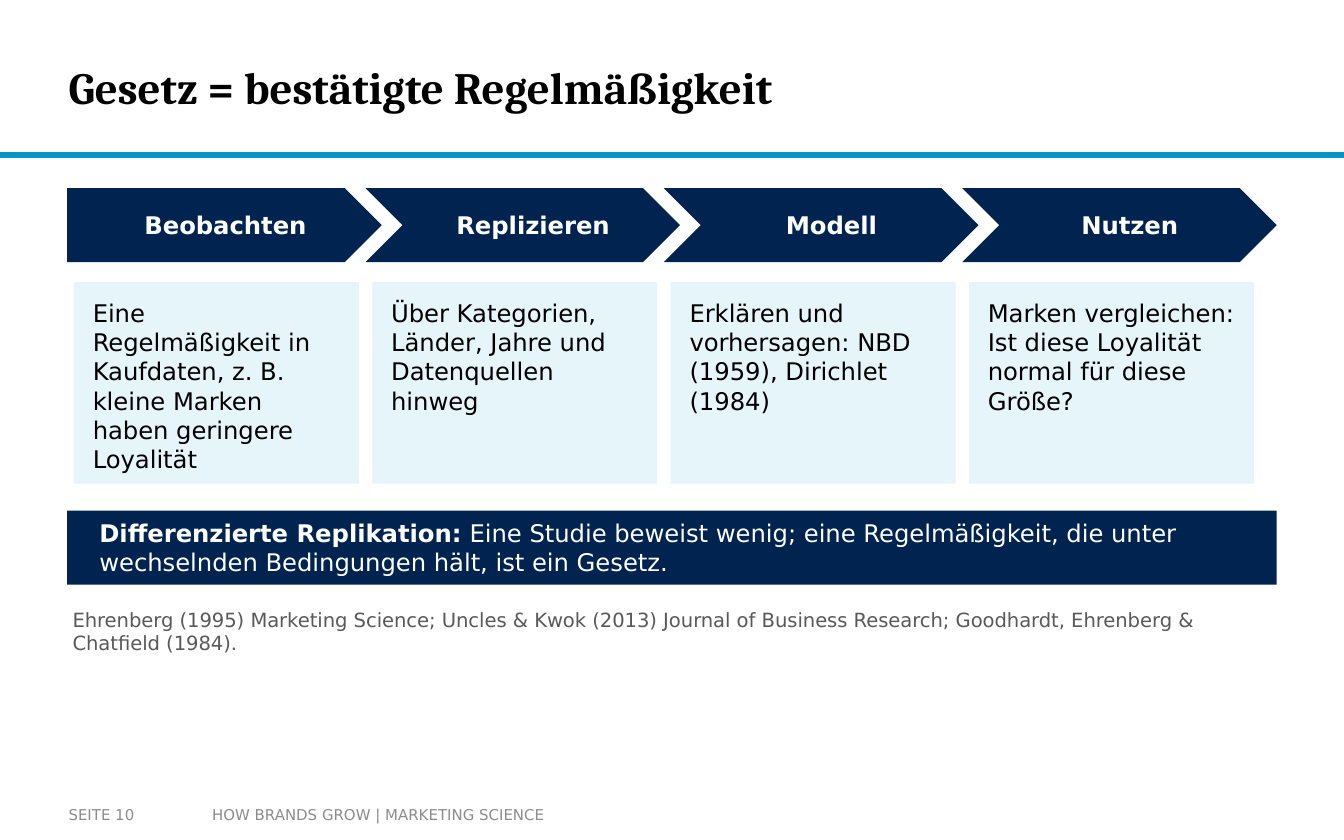
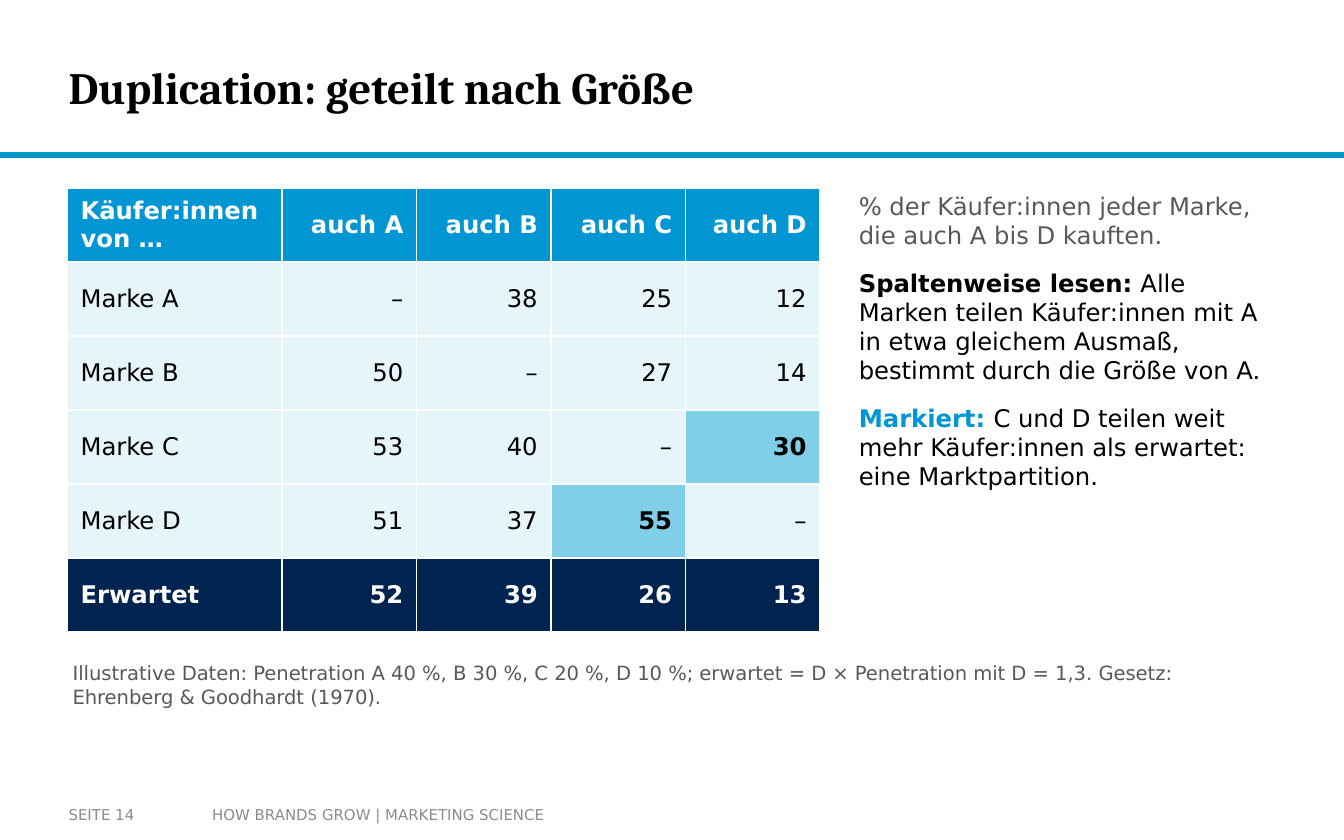
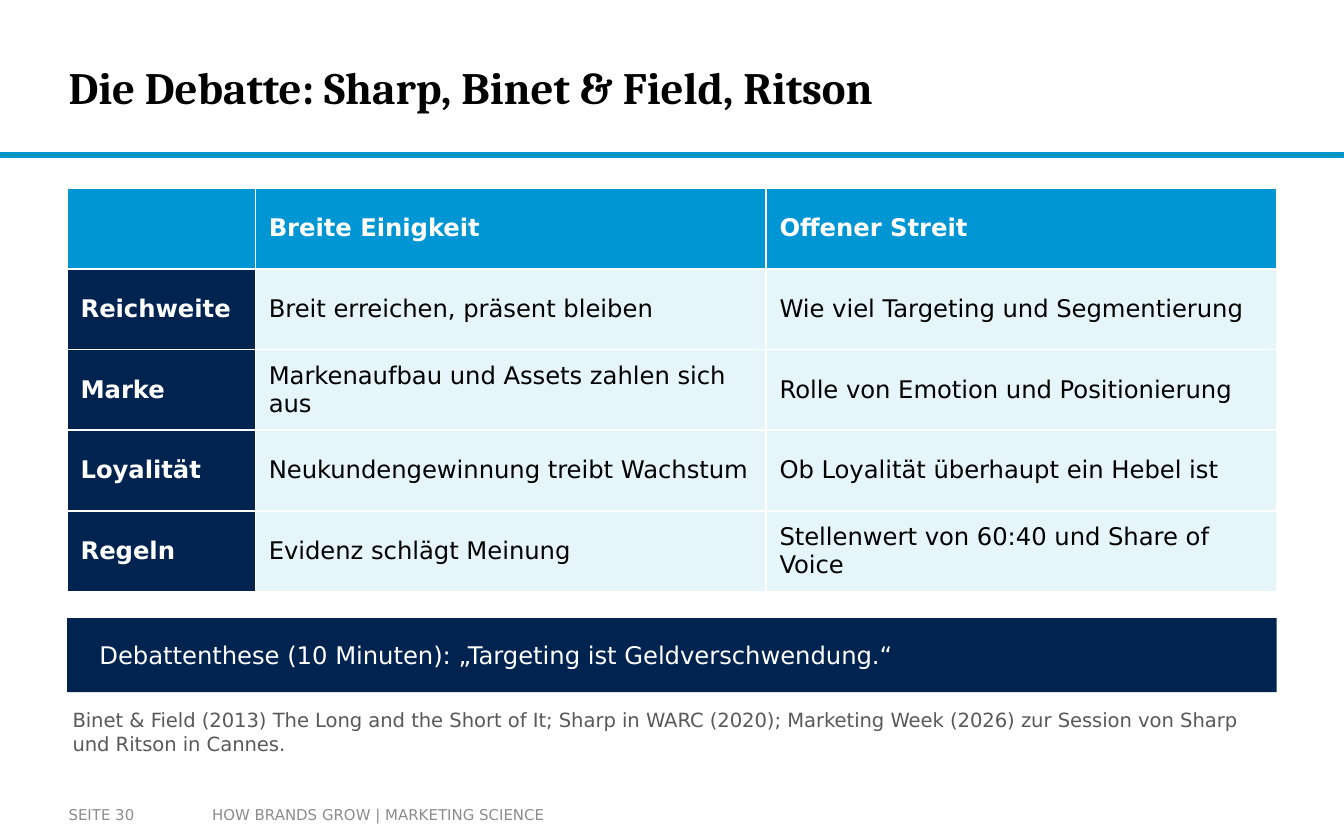
from dataclasses import dataclass
from typing import Callable

from pptx import Presentation
from pptx.dml.color import RGBColor
from pptx.enum.shapes import MSO_SHAPE
from pptx.enum.text import MSO_ANCHOR, MSO_AUTO_SIZE, PP_ALIGN
from pptx.slide import Slide
from pptx.util import Inches, Pt

COLORS = {
    "black": "000000",
    "white": "FFFFFF",
    "navy": "002350",
    "blue": "0096D3",
    "rule": "0C94B7",
    "pale": "E5F5FA",
    "marked": "80CFE9",
    "note": "595959",
    "footer": "8C8C8C",
}
BODY_FONT = "DejaVu Sans"
TITLE_FONT = "Cambria"
BODY_SIZE = 13
LEFT = 0.5
CONTENT_TOP = 1.4
CONTENT_WIDTH = 9
BAR_HEIGHT = 0.55
TIGHT = (0.04, 0.02, 0.04, 0.02)


@dataclass(frozen=True)
class Box:
    left: float
    top: float
    width: float
    height: float

    def lengths(self) -> tuple:
        return tuple(Inches(v) for v in (self.left, self.top, self.width, self.height))


@dataclass(frozen=True)
class Style:
    size: float = BODY_SIZE
    color: str = "black"
    bold: bool = False
    font: str = BODY_FONT


@dataclass(frozen=True)
class Span:
    text: str
    style: Style = Style()


@dataclass(frozen=True)
class Step:
    name: str
    detail: str


@dataclass(frozen=True)
class CellLook:
    fill: str
    style: Style
    align: PP_ALIGN = PP_ALIGN.LEFT


BODY = Style()
BOLD = Style(bold=True)
WHITE = Style(color="white")
WHITE_BOLD = Style(color="white", bold=True)
TITLE = Style(24, bold=True, font=TITLE_FONT)
FOOTER = Style(8, "footer")
SOURCE = Style(10.5, "note")

STEPS = [
    Step("Beobachten", "Eine Regelmäßigkeit in Kaufdaten, z. B. kleine Marken haben geringere Loyalität"),
    Step("Replizieren", "Über Kategorien, Länder, Jahre und Datenquellen hinweg"),
    Step("Modell", "Erklären und vorhersagen: NBD (1959), Dirichlet (1984)"),
    Step("Nutzen", "Marken vergleichen: Ist diese Loyalität normal für diese Größe?"),
]

DUPLICATION = [
    ["Käufer:innen von …", "auch A", "auch B", "auch C", "auch D"],
    ["Marke A", "–", "38", "25", "12"],
    ["Marke B", "50", "–", "27", "14"],
    ["Marke C", "53", "40", "–", "30"],
    ["Marke D", "51", "37", "55", "–"],
    ["Erwartet", "52", "39", "26", "13"],
]
PARTITION_CELLS = {(3, 4), (4, 3)}

DEBATE = [
    ["", "Breite Einigkeit", "Offener Streit"],
    ["Reichweite", "Breit erreichen, präsent bleiben", "Wie viel Targeting und Segmentierung"],
    ["Marke", "Markenaufbau und Assets zahlen sich aus", "Rolle von Emotion und Positionierung"],
    ["Loyalität", "Neukundengewinnung treibt Wachstum", "Ob Loyalität überhaupt ein Hebel ist"],
    ["Regeln", "Evidenz schlägt Meinung", "Stellenwert von 60:40 und Share of Voice"],
]


def rgb(name: str) -> RGBColor:
    return RGBColor.from_string(COLORS[name])


def style_run(run, style: Style) -> None:
    run.font.name = style.font
    run.font.size = Pt(style.size)
    run.font.bold = style.bold
    run.font.color.rgb = rgb(style.color)


def set_margins(frame, margins: tuple) -> None:
    frame.margin_left, frame.margin_top, frame.margin_right, frame.margin_bottom = map(Inches, margins)


def write_line(paragraph, span: Span, align: PP_ALIGN = PP_ALIGN.LEFT) -> None:
    paragraph.text = span.text
    paragraph.alignment = align
    for run in paragraph.runs:
        style_run(run, span.style)


def add_text(slide: Slide, box: Box, paragraphs: list[list[Span]], margins: tuple = TIGHT,
             anchor: MSO_ANCHOR = MSO_ANCHOR.TOP, space_after: float = 0, grow: bool = True) -> None:
    frame = slide.shapes.add_textbox(*box.lengths()).text_frame
    frame.word_wrap = True
    frame.auto_size = MSO_AUTO_SIZE.SHAPE_TO_FIT_TEXT if grow else MSO_AUTO_SIZE.NONE
    frame.vertical_anchor = anchor
    set_margins(frame, margins)
    for index, spans in enumerate(paragraphs):
        paragraph = frame.add_paragraph() if index else frame.paragraphs[0]
        paragraph.space_after = Pt(space_after)
        for span in spans:
            run = paragraph.add_run()
            run.text = span.text
            style_run(run, span.style)


def add_panel(slide: Slide, box: Box, fill: str, preset: MSO_SHAPE = MSO_SHAPE.RECTANGLE):
    panel = slide.shapes.add_shape(preset, *box.lengths())
    panel.shadow.inherit = False
    panel.fill.solid()
    panel.fill.fore_color.rgb = rgb(fill)
    panel.line.fill.background()
    return panel


def add_frame(deck, title: str, page: int) -> Slide:
    slide = deck.slides.add_slide(deck.slide_layouts[6])
    rule = add_panel(slide, Box(0, 1.14, 10, 0.03), "rule")
    rule.line.color.rgb = rgb("blue")
    rule.line.width = Pt(1)
    fixed_texts = [
        (Box(0.51, 0.15, 7.48, 0.99), Span(title, TITLE), (0, 0, 0, 0)),
        (Box(1.48, 5.92, 3.52, 0.28), Span("HOW BRANDS GROW | MARKETING SCIENCE", FOOTER), (0.1, 0.05, 0.1, 0.05)),
        (Box(0.51, 5.92, 0.98, 0.28), Span(f"SEITE {page}", FOOTER), (0, 0.05, 0, 0.05)),
    ]
    for box, span, margins in fixed_texts:
        add_text(slide, box, [[span]], margins, MSO_ANCHOR.MIDDLE, grow=False)
    return slide


def add_message_bar(slide: Slide, top: float, spans: list[Span]) -> None:
    add_panel(slide, Box(LEFT, top, CONTENT_WIDTH, BAR_HEIGHT), "navy")
    add_text(slide, Box(LEFT + 0.2, top, CONTENT_WIDTH - 0.4, BAR_HEIGHT), [spans], anchor=MSO_ANCHOR.MIDDLE)


def add_source(slide: Slide, top: float, text: str) -> None:
    add_text(slide, Box(LEFT, top, CONTENT_WIDTH, 0.35), [[Span(text, SOURCE)]])


def add_grid(slide: Slide, rows: list[list[str]], widths: list[float], row_height: float,
             look_of: Callable[[int, int], CellLook]) -> None:
    box = Box(LEFT, CONTENT_TOP, sum(widths), row_height * len(rows))
    table = slide.shapes.add_table(len(rows), len(widths), *box.lengths()).table
    table.horz_banding = False
    for column, width in zip(table.columns, widths):
        column.width = Inches(width)
    for r, row in enumerate(rows):
        table.rows[r].height = Inches(row_height)
        for c, text in enumerate(row):
            look = look_of(r, c)
            cell = table.cell(r, c)
            cell.fill.solid()
            cell.fill.fore_color.rgb = rgb(look.fill)
            cell.vertical_anchor = MSO_ANCHOR.MIDDLE
            write_line(cell.text_frame.paragraphs[0], Span(text, look.style), look.align)


def duplication_look(row: int, column: int) -> CellLook:
    align = PP_ALIGN.RIGHT if column else PP_ALIGN.LEFT
    if row == 0:
        return CellLook("blue", WHITE_BOLD, align)
    if row == len(DUPLICATION) - 1:
        return CellLook("navy", WHITE_BOLD, align)
    if (row, column) in PARTITION_CELLS:
        return CellLook("marked", BOLD, align)
    return CellLook("pale", BODY, align)


def debate_look(row: int, column: int) -> CellLook:
    if row == 0:
        return CellLook("blue", WHITE_BOLD)
    if column == 0:
        return CellLook("navy", WHITE_BOLD)
    return CellLook("pale", BODY)


def add_step(slide: Slide, index: int, step: Step) -> None:
    left = LEFT + 2.22 * index
    preset = MSO_SHAPE.CHEVRON if index else MSO_SHAPE.PENTAGON
    arrow = add_panel(slide, Box(left, CONTENT_TOP, 2.34, BAR_HEIGHT), "navy", preset)
    frame = arrow.text_frame
    frame.vertical_anchor = MSO_ANCHOR.MIDDLE
    set_margins(frame, (0.25, 0.05, 0.1, 0.05))
    write_line(frame.paragraphs[0], Span(step.name, WHITE_BOLD), PP_ALIGN.CENTER)
    add_panel(slide, Box(left + 0.05, 2.1, 2.12, 1.5), "pale")
    add_text(slide, Box(left + 0.15, 2.2, 1.92, 1.3), [[Span(step.detail)]], space_after=6)


def build_law_slide(deck) -> None:
    slide = add_frame(deck, "Gesetz = bestätigte Regelmäßigkeit", 10)
    for index, step in enumerate(STEPS):
        add_step(slide, index, step)
    add_message_bar(slide, 3.8, [
        Span("Differenzierte Replikation: ", WHITE_BOLD),
        Span("Eine Studie beweist wenig; eine Regelmäßigkeit, die unter wechselnden "
             "Bedingungen hält, ist ein Gesetz.", WHITE),
    ])
    add_source(slide, 4.5, "Ehrenberg (1995) Marketing Science; Uncles & Kwok (2013) Journal of "
                           "Business Research; Goodhardt, Ehrenberg & Chatfield (1984).")


def build_duplication_slide(deck) -> None:
    slide = add_frame(deck, "Duplication: geteilt nach Größe", 14)
    add_grid(slide, DUPLICATION, [1.6, 1, 1, 1, 1], 0.55, duplication_look)
    add_text(slide, Box(6.35, CONTENT_TOP, 3.15, 3.3), [
        [Span("% der Käufer:innen jeder Marke, die auch A bis D kauften.", Style(color="note"))],
        [Span("Spaltenweise lesen: ", BOLD),
         Span("Alle Marken teilen Käufer:innen mit A in etwa gleichem Ausmaß, "
              "bestimmt durch die Größe von A.")],
        [Span("Markiert: ", Style(color="blue", bold=True)),
         Span("C und D teilen weit mehr Käufer:innen als erwartet: eine Marktpartition.")],
    ], space_after=10)
    add_source(slide, 4.9, "Illustrative Daten: Penetration A 40 %, B 30 %, C 20 %, D 10 %; erwartet = "
                           "D × Penetration mit D = 1,3. Gesetz: Ehrenberg & Goodhardt (1970).")


def build_debate_slide(deck) -> None:
    slide = add_frame(deck, "Die Debatte: Sharp, Binet & Field, Ritson", 30)
    add_grid(slide, DEBATE, [1.4, 3.8, 3.8], 0.6, debate_look)
    add_message_bar(slide, 4.6, [Span("Debattenthese (10 Minuten): „Targeting ist Geldverschwendung.“", WHITE)])
    add_source(slide, 5.25, "Binet & Field (2013) The Long and the Short of It; Sharp in WARC (2020); "
                            "Marketing Week (2026) zur Session von Sharp und Ritson in Cannes.")


def main() -> None:
    deck = Presentation()
    deck.slide_width = Inches(10)
    deck.slide_height = Inches(6.25)
    build_law_slide(deck)
    build_duplication_slide(deck)
    build_debate_slide(deck)
    deck.save("out.pptx")


if __name__ == "__main__":
    main()
